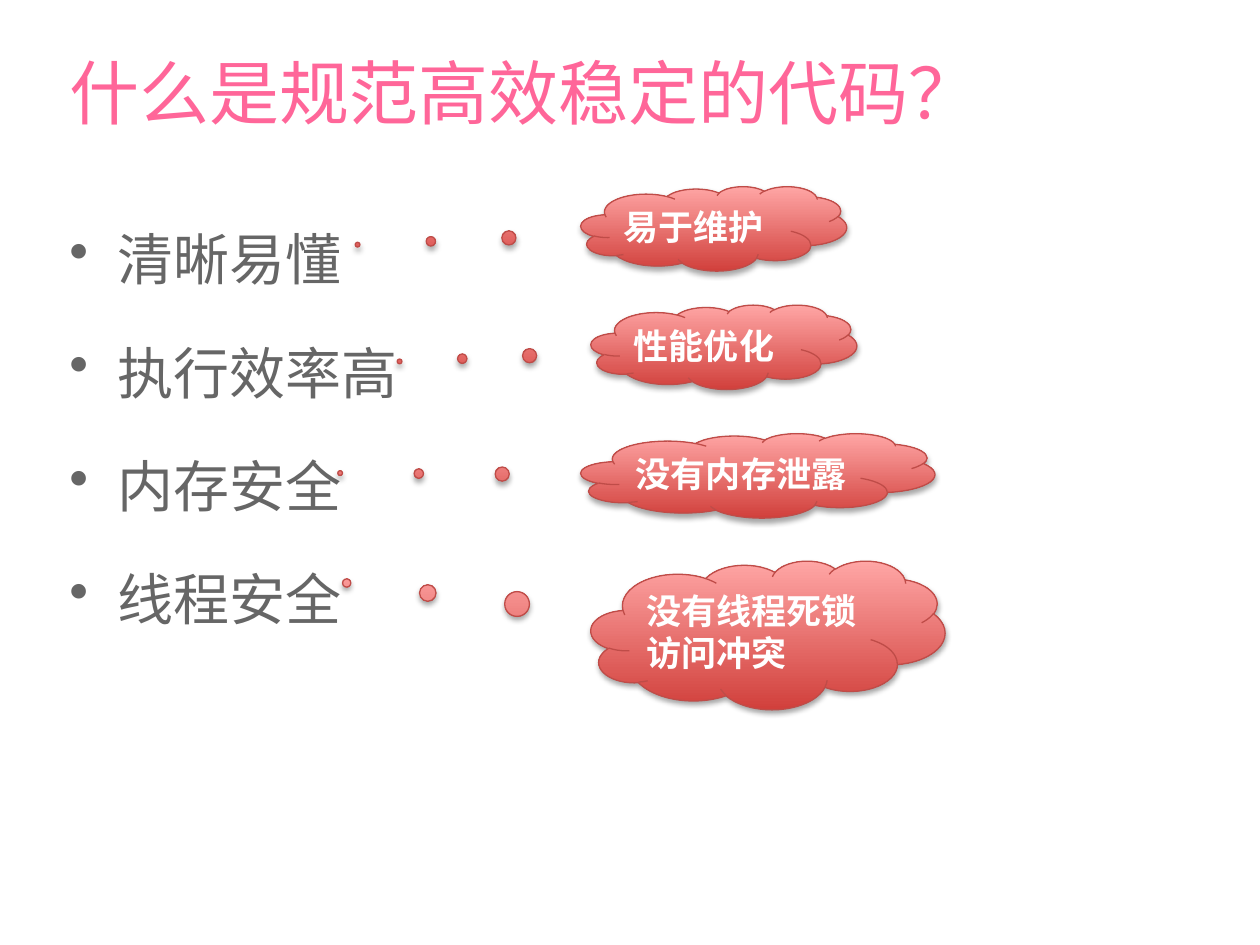
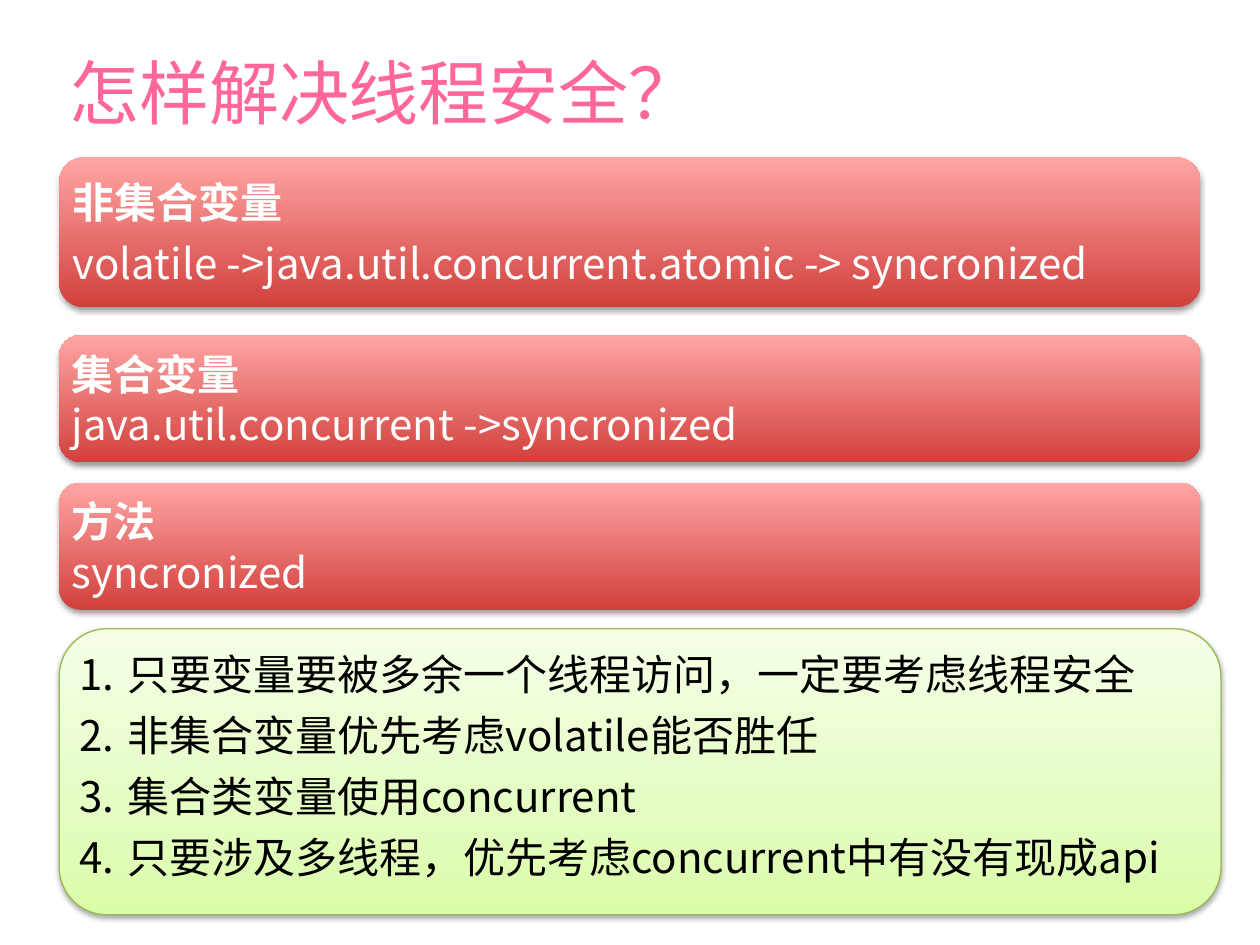
import copy

import pptx
import pptx.util
from lxml import etree
from pptx.dml.color import RGBColor
from pptx.enum.shapes import MSO_SHAPE
from pptx.enum.text import MSO_ANCHOR, PP_ALIGN
from pptx.oxml.ns import qn
from pptx.util import Inches, Pt

FONT = "Noto Sans CJK SC"
PINK = RGBColor(0xFF, 0x66, 0x99)
GREY = RGBColor(0x66, 0x66, 0x66)
WHITE = RGBColor(0xFF, 0xFF, 0xFF)
BLACK = RGBColor(0x00, 0x00, 0x00)
RED_EDGE = RGBColor(0xBF, 0x4C, 0x48)
GREEN_EDGE = RGBColor(0x98, 0xB9, 0x55)
# Gradient stops run from the bottom edge to the top edge.
RED_FADE = [(0, RGBColor(0xD1, 0x40, 0x3C)), (1, RGBColor(0xFF, 0xA6, 0xA5))]
GREEN_FADE = [
    (0, RGBColor(0xDA, 0xFD, 0xA7)),
    (0.35, RGBColor(0xE4, 0xFC, 0xC2)),
    (1, RGBColor(0xF5, 0xFF, 0xE7)),
]

QUALITY_TITLE = "什么是规范高效稳定的代码？"
QUALITIES = ["清晰易懂", "执行效率高", "内存安全", "线程安全"]
# words, top, width, height, pointer of the callout
CLOUDS = [
    ("易于维护", 1.48, 2.11, 0.67, (-1.34, 0.19)),
    ("性能优化", 2.42, 2.11, 0.67, (-1.22, 0.17)),
    ("没有内存泄露", 3.44, 2.81, 0.67, (-1.18, -0.03)),
    ("没有线程死锁\v访问冲突", 4.45, 2.81, 1.18, (-1.19, -0.35)),
]
CLOUD_LEFTS = (4.61, 4.69)

SAFETY_TITLE = "怎样解决线程安全？"
# heading, tools in order of preference, top, height, space between lines
CARDS = [
    ("非集合变量", "volatile ->java.util.concurrent.atomic -> syncronized", 1.25, 1.19, 6),
    ("集合变量", "java.util.concurrent ->syncronized", 2.66, 1.01, 0),
    ("方法", "syncronized", 3.83, 1.01, 0),
]
RULES = [
    "只要变量要被多余一个线程访问，一定要考虑线程安全",
    "非集合变量优先考虑volatile能否胜任",
    "集合类变量使用concurrent",
    "只要涉及多线程，优先考虑concurrent中有没有现成api",
]
CARD_LEFT, CARD_WIDTH = 0.47, 9.06
RULES_BOX = (CARD_LEFT, 4.99, 9.22, 2.27)
INDENT = 0.38
MARGIN = 0.05


def write(shape, lines, size, color, bold=(), anchor=MSO_ANCHOR.MIDDLE,
          bullet=None, gap=0, spacing=None):
    """Fill a shape with paragraphs; bold holds the indexes of bold lines."""
    frame = shape.text_frame
    frame.word_wrap = True
    frame.vertical_anchor = anchor
    frame.margin_left = frame.margin_right = Inches(MARGIN)
    frame.margin_top = frame.margin_bottom = Inches(MARGIN)
    for index, line in enumerate(lines):
        paragraph = frame.add_paragraph() if index else frame.paragraphs[0]
        paragraph.text = line
        paragraph.alignment = PP_ALIGN.LEFT
        paragraph.space_before = Pt(gap if index else 0)
        if spacing:
            paragraph.line_spacing = spacing
        if bullet:
            add_bullet(paragraph, *bullet)
        font = paragraph.font
        font.size = Pt(size)
        font.bold = index in bold
        font.color.rgb = color
        font.name = FONT
        east_asian = etree.SubElement(font._element, qn("a:ea"))
        east_asian.set("typeface", FONT)


def add_bullet(paragraph, tag, attribute, value):
    properties = paragraph._p.get_or_add_pPr()
    properties.set("marL", str(Inches(INDENT)))
    properties.set("indent", str(-Inches(INDENT)))
    etree.SubElement(properties, qn(tag)).set(attribute, value)


def fade(shape, stops):
    shape.fill.gradient()
    shape.fill.gradient_angle = 90
    stop_list = shape._element.spPr.find(qn("a:gradFill")).find(qn("a:gsLst"))
    for _ in stops[2:]:
        stop_list.append(copy.deepcopy(stop_list[-1]))
    for stop, (position, color) in zip(shape.fill.gradient_stops, stops):
        stop.position = position
        stop.color.rgb = color


def cast_shadow(shape, opacity, distance):
    shape.shadow.inherit = False
    effects = shape._element.spPr.find(qn("a:effectLst"))
    shadow = etree.SubElement(
        effects, qn("a:outerShdw"), blurRad=str(Pt(3)), dist=str(Pt(distance)),
        dir=str(90 * 60000), rotWithShape="0")
    black = etree.SubElement(shadow, qn("a:srgbClr"), val=str(BLACK))
    etree.SubElement(black, qn("a:alpha"), val=str(opacity * 1000))


def add_panel(slide, kind, box, stops, edge=None):
    """Add a shape with a gradient and a soft shadow, outlined if edge is given."""
    panel = slide.shapes.add_shape(kind, *map(Inches, box))
    fade(panel, stops)
    if edge is None:
        panel.line.fill.background()
        cast_shadow(panel, 38, 1.6)
    else:
        panel.line.color.rgb = edge
        panel.line.width = Pt(0.75)
        cast_shadow(panel, 35, 1.8)
    return panel


def add_text(slide, box, lines, size, color, **style):
    write(slide.shapes.add_textbox(*map(Inches, box)), lines, size, color, **style)


def add_titled_slide(deck, title):
    slide = deck.slides.add_slide(deck.slide_layouts[6])
    add_text(slide, (0.5, 0, 9, 1.45), [title], 40, PINK)
    return slide


def build_quality_slide(deck):
    slide = add_titled_slide(deck, QUALITY_TITLE)
    add_text(slide, (0.5, 1.47, 4.11, 3.77), QUALITIES, 32, GREY,
             anchor=MSO_ANCHOR.TOP, bullet=("a:buChar", "char", "•"),
             gap=7, spacing=1.5)
    for index, (words, top, width, height, pointer) in enumerate(CLOUDS):
        box = (CLOUD_LEFTS[index % 2], top, width, height)
        cloud = add_panel(slide, MSO_SHAPE.CLOUD_CALLOUT, box, RED_FADE, RED_EDGE)
        cloud.adjustments[0], cloud.adjustments[1] = pointer
        write(cloud, [words], 20, WHITE, bold=(0,))


def build_safety_slide(deck):
    slide = add_titled_slide(deck, SAFETY_TITLE)
    for heading, tools, top, height, gap in CARDS:
        box = (CARD_LEFT, top, CARD_WIDTH, height)
        card = add_panel(slide, MSO_SHAPE.ROUNDED_RECTANGLE, box, RED_FADE)
        write(card, [heading, tools], 24, WHITE, bold=(0,), gap=gap)
    rules = add_panel(slide, MSO_SHAPE.ROUNDED_RECTANGLE, RULES_BOX,
                      GREEN_FADE, GREEN_EDGE)
    write(rules, RULES, 24, BLACK, anchor=MSO_ANCHOR.TOP, gap=6,
          bullet=("a:buAutoNum", "type", "arabicPeriod"))


def main():
    deck = pptx.Presentation()
    deck.slide_width, deck.slide_height = Inches(10), Inches(7.5)
    build_quality_slide(deck)
    build_safety_slide(deck)
    deck.save("out.pptx")


if __name__ == "__main__":
    main()
